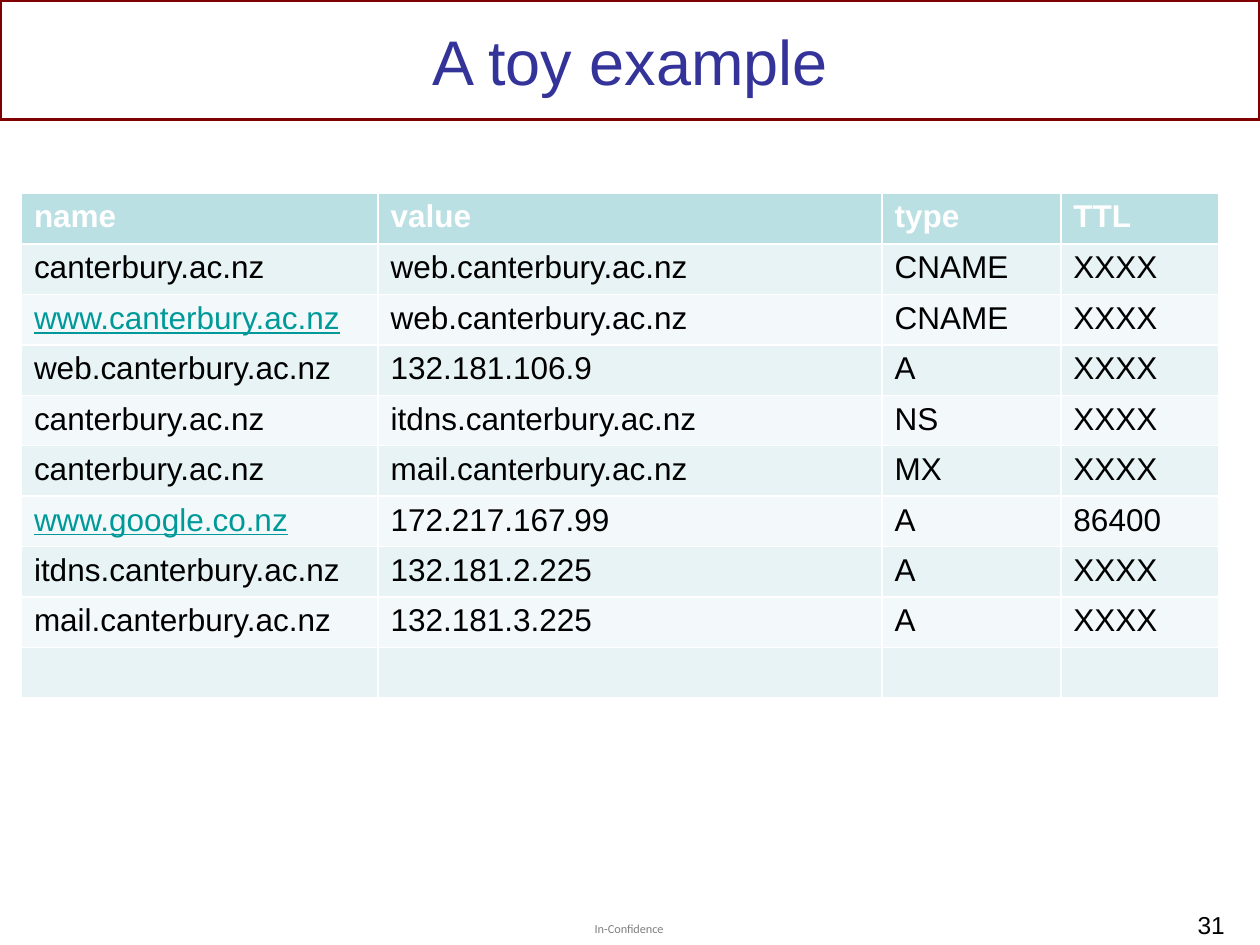
"""Build the slide with a toy table of name records."""
from pptx import Presentation
from pptx.dml.color import RGBColor
from pptx.enum.shapes import MSO_SHAPE
from pptx.enum.text import MSO_ANCHOR, PP_ALIGN
from pptx.util import Inches, Pt

BLACK = RGBColor(0x00, 0x00, 0x00)
WHITE = RGBColor(0xFF, 0xFF, 0xFF)
GREY = RGBColor(0x7F, 0x7F, 0x7F)
MAROON = RGBColor(0x80, 0x00, 0x00)
NAVY = RGBColor(0x33, 0x33, 0x99)
TEAL = RGBColor(0x00, 0x99, 0x99)
HEAD = RGBColor(0xBB, 0xE0, 0xE3)
BANDS = [RGBColor(0xF3, 0xF9, 0xFA), RGBColor(0xE7, 0xF3, 0xF4)]

WIDTH, HEIGHT = Inches(10), Inches(7.5)
COLS = [2.83, 4, 1.42, 1.25]
ROWS = [
    ["name", "value", "type", "TTL"],
    ["canterbury.ac.nz", "web.canterbury.ac.nz", "CNAME", "XXXX"],
    ["www.canterbury.ac.nz", "web.canterbury.ac.nz", "CNAME", "XXXX"],
    ["web.canterbury.ac.nz", "132.181.106.9", "A", "XXXX"],
    ["canterbury.ac.nz", "itdns.canterbury.ac.nz", "NS", "XXXX"],
    ["canterbury.ac.nz", "mail.canterbury.ac.nz", "MX", "XXXX"],
    ["www.google.co.nz", "172.217.167.99", "A", "86400"],
    ["itdns.canterbury.ac.nz", "132.181.2.225", "A", "XXXX"],
    ["mail.canterbury.ac.nz", "132.181.3.225", "A", "XXXX"],
    ["", "", "", ""],
]


def write(frame, text, color, size, name="Arial", align=PP_ALIGN.LEFT, **more):
    frame.text = text
    para = frame.paragraphs[0]
    para.alignment = align
    para.font.color.rgb = color
    look = {"size": Pt(size), "name": name, **more}
    for key, value in look.items():
        setattr(para.font, key, value)


def place(shape, left, top, width, height):
    box = {"left": left, "top": top, "width": width, "height": height}
    for key, value in box.items():
        setattr(shape, key, Inches(value))


deck = Presentation()
deck.slide_width, deck.slide_height = WIDTH, HEIGHT
slide = deck.slides.add_slide(deck.slide_layouts[5])
shapes = slide.shapes

frame = shapes.add_shape(MSO_SHAPE.RECTANGLE, 0, 0, WIDTH, Inches(0.95))
frame.shadow.inherit = False
frame.fill.background()
frame.line.color.rgb = MAROON
frame.line.width = Pt(2)

title = shapes.title
place(title, 0.5, 0.08, 9, 0.79)
title.text_frame.vertical_anchor = MSO_ANCHOR.MIDDLE
write(title.text_frame, "A toy example", NAVY, 36, align=PP_ALIGN.CENTER)

mark = shapes.add_textbox(0, 0, 0, 0)
place(mark, 4.72, 7.31, 0.57, 0.12)
for side in ("left", "top", "right", "bottom"):
    setattr(mark.text_frame, f"margin_{side}", 0)
write(mark.text_frame, "In-Confidence", GREY, 7, "Calibri")

page = shapes.add_textbox(0, 0, 0, 0)
place(page, 7.62, 7.17, 2.2, 0.3)
page.text_frame.word_wrap = True
write(page.text_frame, "31", BLACK, 14, align=PP_ALIGN.RIGHT)

grid = shapes.add_table(len(ROWS), len(COLS), 0, 0, 0, 0)
place(grid, 0.17, 1.53, sum(COLS), 4.06)
table = grid.table
for col, width in zip(table.columns, COLS):
    col.width = Inches(width)
for row in table.rows:
    row.height = grid.height // len(ROWS)

for r, row in enumerate(ROWS):
    for c, text in enumerate(row):
        cell = table.cell(r, c)
        link = text.startswith("www.")
        color = WHITE if r == 0 else TEAL if link else BLACK
        cell.fill.solid()
        cell.fill.fore_color.rgb = BANDS[r % 2] if r else HEAD
        write(cell.text_frame, text, color, 18, bold=r == 0, underline=link)

deck.save("out.pptx")
